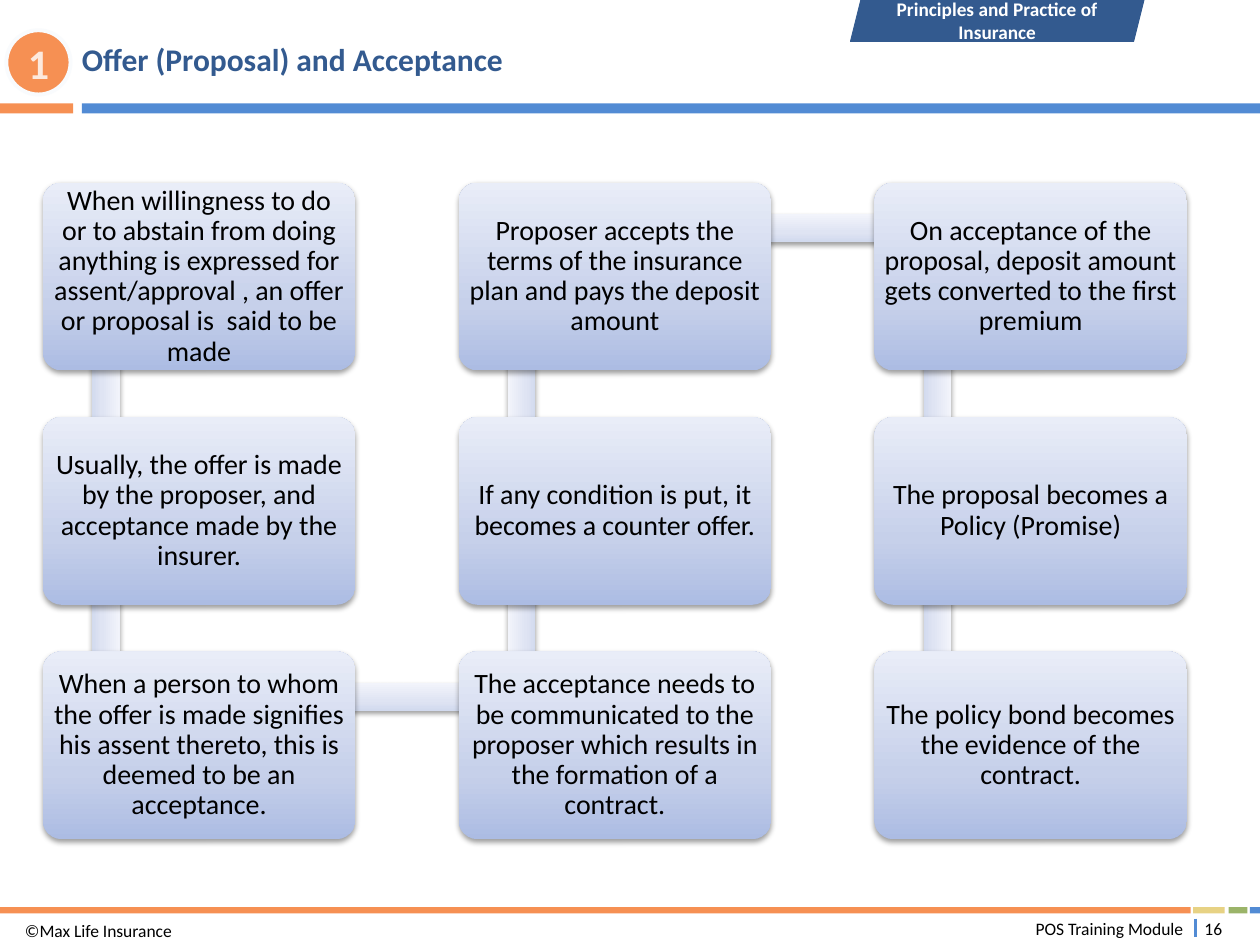
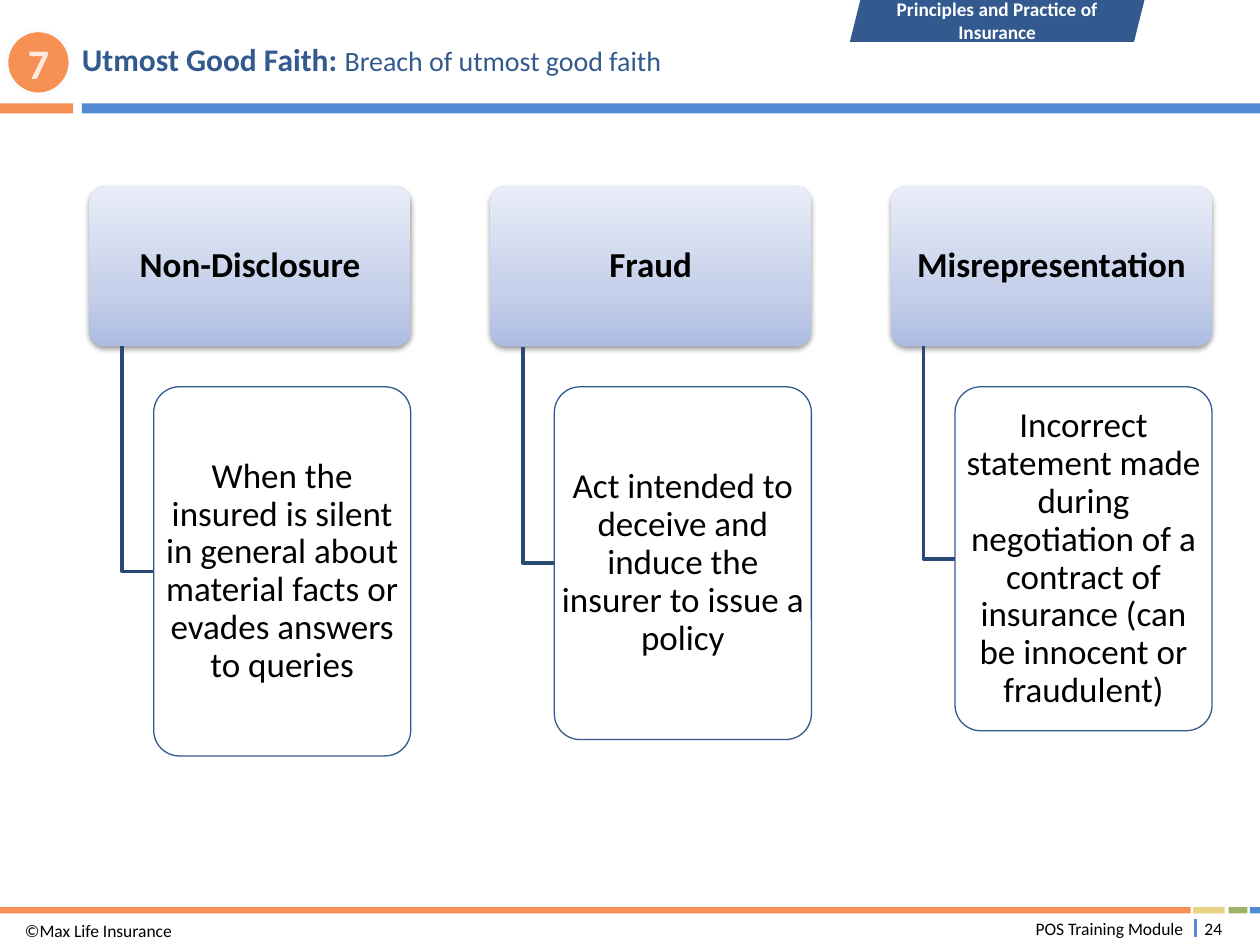
from copy import deepcopy
from math import atan2, degrees, hypot

from pptx import Presentation
from pptx.dml.color import RGBColor
from pptx.enum.shapes import MSO_CONNECTOR, MSO_SHAPE
from pptx.enum.text import MSO_ANCHOR, PP_ALIGN
from pptx.oxml import parse_xml
from pptx.oxml.ns import nsdecls, qn
from pptx.util import Inches, Pt

FONT = "Calibri"
BLUE = RGBColor(0x52, 0x8B, 0xD4)
NAVY = RGBColor(0x33, 0x5A, 0x8F)
DEEP_NAVY = RGBColor(0x29, 0x48, 0x73)
ORANGE = RGBColor(0xF6, 0x90, 0x53)
PEACH = RGBColor(0xFD, 0xE9, 0xDD)
SAND = RGBColor(0xE7, 0xD2, 0x84)
GREEN = RGBColor(0x9B, 0xB4, 0x69)
PALE = RGBColor(0xF9, 0xFB, 0xFD)
WHITE = RGBColor(0xFF, 0xFF, 0xFF)
BLACK = RGBColor(0x00, 0x00, 0x00)
BOX_STOPS = [
    (0, RGBColor(0xAC, 0xBC, 0xE3)),
    (35, RGBColor(0xC6, 0xD0, 0xEA)),
    (100, RGBColor(0xE9, 0xED, 0xF8)),
]
BAR_STOPS = [
    (0, RGBColor(0xD2, 0xDA, 0xEE)),
    (35, RGBColor(0xDF, 0xE4, 0xF3)),
    (100, RGBColor(0xF2, 0xF4, 0xFB)),
]

CHAPTER = "Principles and Practice of Insurance"
COPYRIGHT = "©Max Life Insurance"
MODULE = "POS Training Module"

BANDS = [
    (0.65, 0.82, 9.35, 0.08, BLUE),
    (0, 0.82, 0.58, 0.08, ORANGE),
    (0, 7.2, 9.45, 0.05, ORANGE),
    (9.47, 7.2, 0.25, 0.05, SAND),
    (9.75, 7.2, 0.15, 0.05, GREEN),
    (9.92, 7.2, 0.08, 0.05, BLUE),
]

OFFER = {
    "number": "1",
    "page": "16",
    "title": [("Offer (Proposal) and Acceptance", 18, True)],
}
OFFER_STEPS = [
    "When willingness to do or to abstain from doing anything is expressed for "
    "assent/approval , an offer or proposal is  said to be made",
    "Usually, the offer is made by the proposer, and acceptance made by the insurer.",
    "When a person to whom the offer is made signifies his assent thereto, "
    "this is deemed to be an acceptance.",
    "The acceptance needs to be communicated to the proposer which results in "
    "the formation of a contract.",
    "If any condition is put, it becomes a counter offer.",
    "Proposer accepts the terms of the insurance plan and pays the deposit amount",
    "On acceptance of the proposal, deposit amount gets converted to the first premium",
    "The proposal becomes a Policy (Promise)",
    "The policy bond becomes the evidence of the contract.",
]

FAITH = {
    "number": "7",
    "page": "24",
    "title": [("Utmost Good Faith: ", 18, True), ("Breach of utmost good faith", 16, False)],
}
BREACHES = [
    ("Non-Disclosure", 2.93,
     "When the insured is silent in general about material facts or evades answers to queries"),
    ("Fraud", 2.8, "Act intended to deceive and induce the insurer to issue a policy"),
    ("Misrepresentation", 2.73,
     "Incorrect statement made during negotiation of a contract of insurance "
     "(can be innocent or fraudulent)"),
]


def write(shape, text, size, color=BLACK, bold=False, align=PP_ALIGN.CENTER,
          anchor=MSO_ANCHOR.MIDDLE, inset=(0, 0), spacing=None):
    frame = shape.text_frame
    frame.word_wrap = True
    frame.vertical_anchor = anchor
    frame.margin_left = frame.margin_right = Inches(inset[0])
    frame.margin_top = frame.margin_bottom = Inches(inset[1])
    paragraph = frame.paragraphs[0]
    paragraph.text = text
    paragraph.alignment = align
    paragraph.line_spacing = spacing
    paragraph.font.name = FONT
    paragraph.font.size = Pt(size)
    paragraph.font.bold = bold
    paragraph.font.color.rgb = color


def add_label(slide, left, top, width, height, text, **style):
    label = slide.shapes.add_textbox(*map(Inches, (left, top, width, height)))
    write(label, text, 10, **style)


def add_block(slide, kind, left, top, width, height, fill=None, line=None, line_width=0):
    block = slide.shapes.add_shape(kind, *map(Inches, (left, top, width, height)))
    block.shadow.inherit = False
    if fill is None:
        block.fill.background()
    else:
        block.fill.solid()
        block.fill.fore_color.rgb = fill
    if line is None:
        block.line.fill.background()
    else:
        block.line.color.rgb = line
        block.line.width = Pt(line_width)
    return block


def add_raised(slide, kind, left, top, width, height, stops):
    block = add_block(slide, kind, left, top, width, height)
    stop_xml = "".join(
        f'<a:gs pos="{position * 1000}"><a:srgbClr val="{color}"/></a:gs>'
        for position, color in stops
    )
    gradient = parse_xml(
        f'<a:gradFill {nsdecls("a")} rotWithShape="1"><a:gsLst>{stop_xml}</a:gsLst>'
        '<a:lin ang="16200000" scaled="0"/></a:gradFill>'
    )
    properties = block.element.spPr
    properties.replace(properties.find(qn("a:noFill")), gradient)
    properties.find(qn("a:effectLst")).append(parse_xml(
        f'<a:outerShdw {nsdecls("a")} blurRad="40000" dist="20000" dir="5400000" '
        'rotWithShape="0"><a:srgbClr val="000000"><a:alpha val="38000"/></a:srgbClr>'
        '</a:outerShdw>'
    ))
    return block


def add_text_box(slide, left, top, width, height, text, size, bold=False, inset=(0, 0)):
    box = add_raised(slide, MSO_SHAPE.ROUNDED_RECTANGLE, left, top, width, height, BOX_STOPS)
    box.adjustments[0] = 0.1
    write(box, text, size, bold=bold, inset=inset, spacing=0.9)


def furnish_layout(layout, slide):
    for placeholder in list(layout.placeholders):
        if placeholder.placeholder_format.idx:
            layout.shapes.element.remove(placeholder.element)
    furniture = [
        add_block(slide, MSO_SHAPE.RECTANGLE, *place, fill=color) for *place, color in BANDS
    ]
    divider = slide.shapes.add_connector(
        MSO_CONNECTOR.STRAIGHT, *map(Inches, (9.49, 7.29, 9.49, 7.44)))
    divider.line.color.rgb = BLUE
    divider.line.width = Pt(1.5)
    divider.element.spPr.append(parse_xml(f'<a:effectLst {nsdecls("a")}/>'))
    for part in furniture + [divider]:
        layout.shapes.element.append(deepcopy(part.element))
        slide.shapes.element.remove(part.element)


def format_title(slide, runs):
    title = slide.shapes.title
    title.left, title.top, title.width, title.height = map(Inches, (0.65, 0.11, 8.6, 0.71))
    write(title, "", 18, color=NAVY, bold=True, align=PP_ALIGN.LEFT)
    for text, size, bold in runs:
        run = title.text_frame.paragraphs[0].add_run()
        run.text = text
        run.font.size = Pt(size)
        run.font.bold = bold


def dress_slide(slide, topic):
    format_title(slide, topic["title"])
    number = add_block(slide, MSO_SHAPE.OVAL, 0.05, 0.24, 0.51, 0.51, ORANGE, PALE, 2.25)
    write(number, topic["number"], 24, color=PEACH, bold=True)
    chapter = add_block(slide, MSO_SHAPE.PARALLELOGRAM, 6.75, 0, 2.33, 0.33, NAVY, NAVY, 0.5)
    write(chapter, CHAPTER, 11, color=WHITE, bold=True, inset=(0.06, 0.06))
    add_label(slide, 9.48, 7.27, 0.3, 0.2, topic["page"], inset=(0.05, 0.05))
    add_label(slide, 7.31, 7.27, 2.13, 0.2, MODULE, align=PP_ALIGN.RIGHT, inset=(0.05, 0.05))
    add_label(slide, 0.1, 7.25, 3.13, 0.23, COPYRIGHT, align=PP_ALIGN.LEFT,
              anchor=MSO_ANCHOR.TOP, inset=(0.1, 0.05))


def draw_snake(slide, steps, rows=3):
    width, height, thickness = 2.48, 1.49, 0.22
    corners = []
    for index in range(len(steps)):
        column, row = divmod(index, rows)
        if column % 2:
            row = rows - 1 - row
        corners.append((0.34 + column * 3.3, 1.45 + row * 1.86))
    for index, (left, top) in enumerate(corners):
        if index + 1 < len(corners):
            next_left, next_top = corners[index + 1]
            run, rise = next_left - left, next_top - top
            length = hypot(run, rise)
            bar = add_raised(slide, MSO_SHAPE.RECTANGLE,
                             left + 0.5 + (run - length) / 2,
                             top + 0.36 + (rise - thickness) / 2,
                             length, thickness, BAR_STOPS)
            bar.rotation = degrees(atan2(rise, run)) % 360
        add_text_box(slide, left, top, width, height, steps[index], 16, inset=(0.03, 0.03))


def draw_breaches(slide, breaches):
    head_top, head_width, head_height = 1.48, 2.55, 1.27
    card_top, card_width = 3.07, 2.04
    for column, (name, card_height, meaning) in enumerate(breaches):
        left = 0.71 + column * 3.18
        card_left = left + head_width - card_width
        add_text_box(slide, left, head_top, head_width, head_height, name, 20, bold=True)

        stem = Inches(left + 0.26)
        middle = Inches(card_top + card_height / 2)
        path_builder = slide.shapes.build_freeform(stem, Inches(head_top + head_height))
        path_builder.add_line_segments([(stem, middle), (Inches(card_left), middle)], close=False)
        elbow = path_builder.convert_to_shape()
        elbow.shadow.inherit = False
        elbow.fill.background()
        elbow.line.color.rgb = DEEP_NAVY
        elbow.line.width = Pt(2)

        card = add_block(slide, MSO_SHAPE.ROUNDED_RECTANGLE, card_left, card_top,
                         card_width, card_height, WHITE, NAVY, 0.75)
        card.adjustments[0] = 0.1
        write(card, meaning, 20, spacing=0.9)


def main():
    deck = Presentation()
    deck.slide_width, deck.slide_height = Inches(10), Inches(7.5)
    layout = deck.slide_layouts[5]

    offer = deck.slides.add_slide(layout)
    furnish_layout(layout, offer)
    dress_slide(offer, OFFER)
    draw_snake(offer, OFFER_STEPS)

    faith = deck.slides.add_slide(layout)
    dress_slide(faith, FAITH)
    draw_breaches(faith, BREACHES)

    deck.save("out.pptx")


if __name__ == "__main__":
    main()
